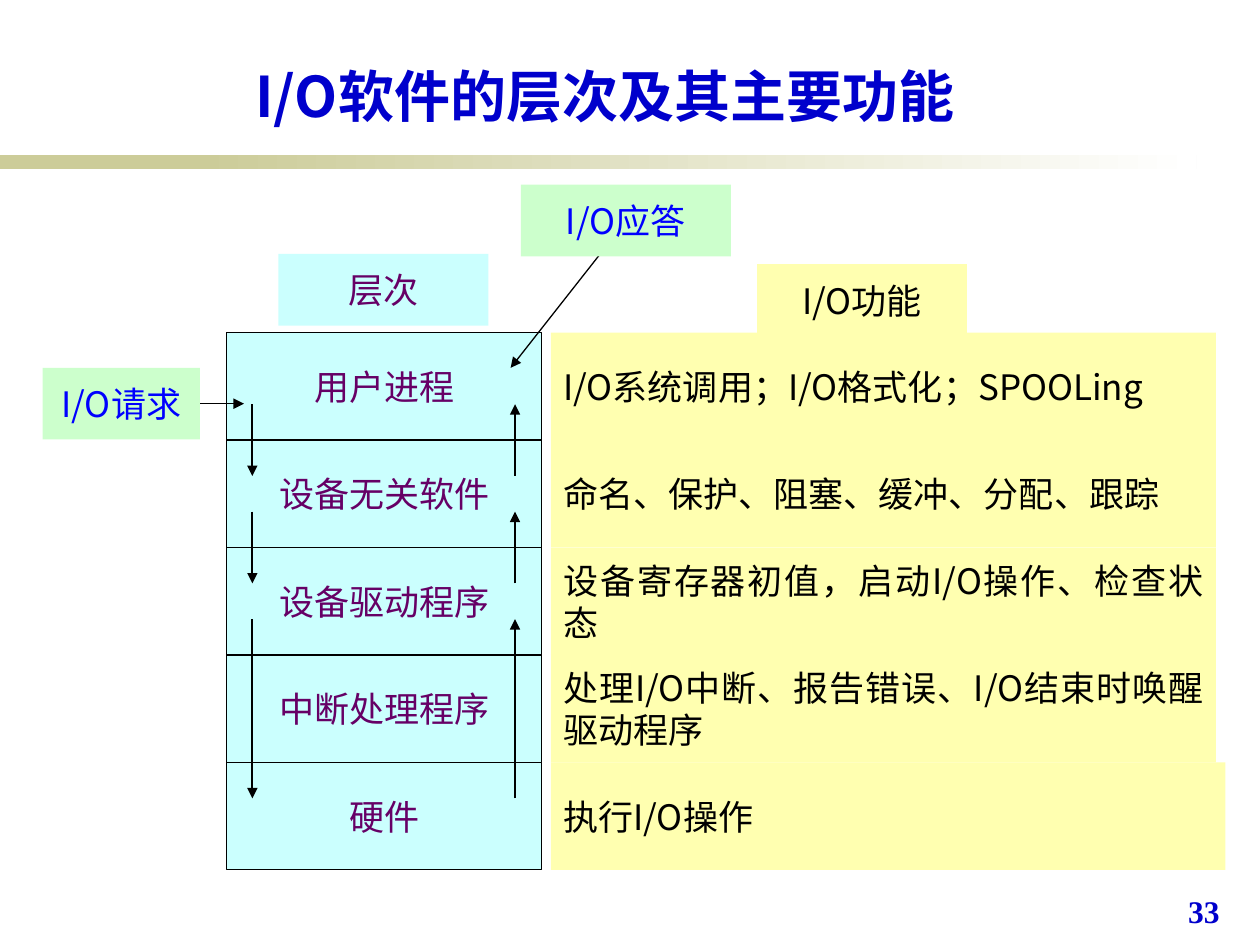
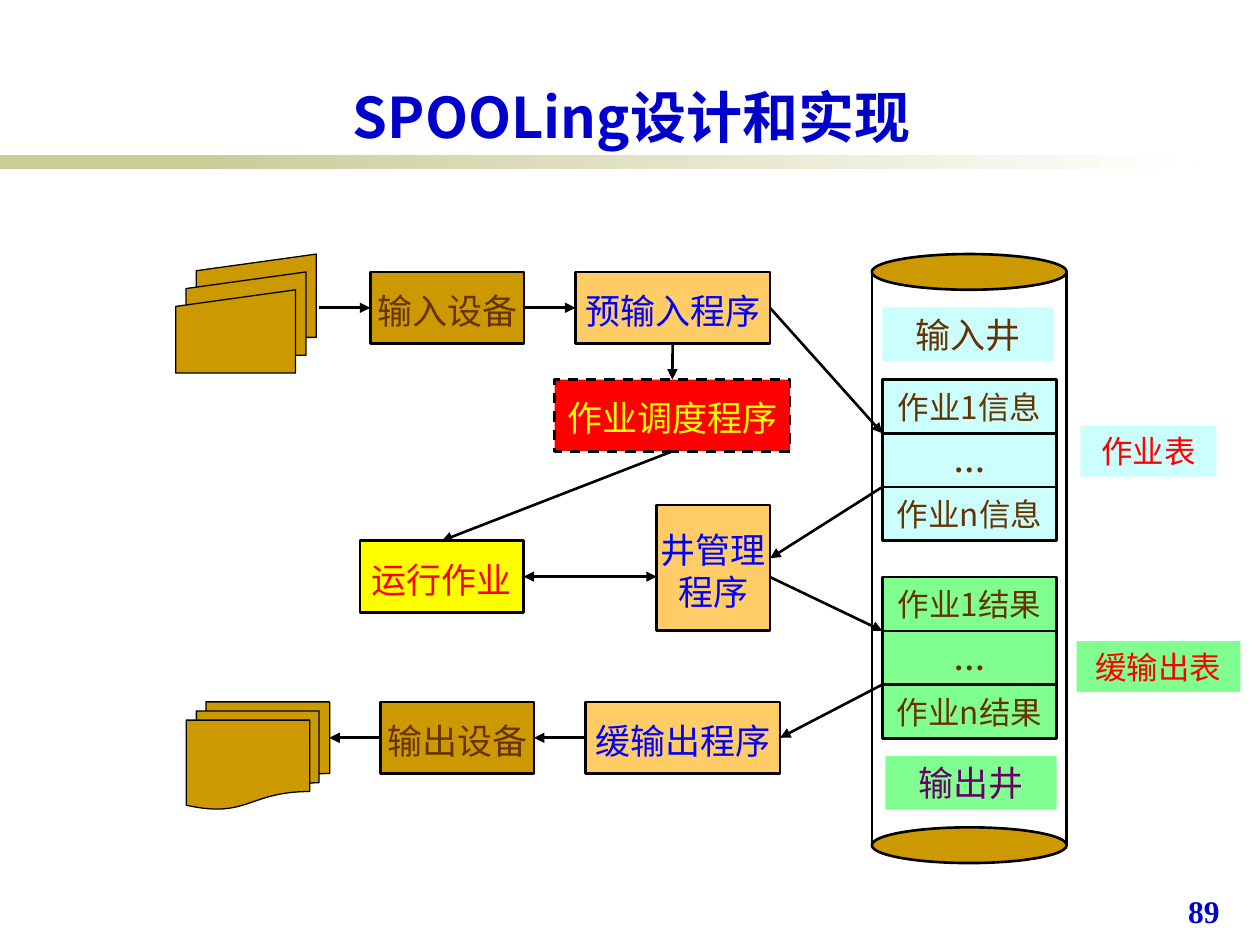
from lxml.etree import SubElement
from pptx import Presentation
from pptx.dml.color import RGBColor
from pptx.enum.dml import MSO_LINE
from pptx.enum.shapes import MSO_CONNECTOR, MSO_SHAPE
from pptx.enum.text import MSO_ANCHOR, MSO_AUTO_SIZE, PP_ALIGN
from pptx.oxml.ns import qn
from pptx.util import Pt

SANS, SERIF = "Noto Sans CJK JP", "Times New Roman"
BLACK, WHITE, RED, BLUE = "000000", "FFFFFF", "FF0000", "0000FF"
TITLE_BLUE, PURPLE, BROWN = "0000CC", "660066", "663300"
KHAKI, CYAN, CREAM, MINT = "CCCC99", "CBFFFE", "FFFFB0", "CCFFCC"
OCHRE, ORANGE, GREEN, YELLOW = "CC9900", "FFCC66", "80FF90", "FFFF00"
TOP, LEFT, BOTTOM, RIGHT = range(4)
FLUSH = (0, 0, 0, 0)
LOWERED = (0, 2.9, 0, 0)
PADDED = (7.2, 3.6, 7.2, 3.6)


def rgb(code):
    return RGBColor.from_string(code)


def write(box, text, color, size=20, font=SANS, bold=False,
          align=PP_ALIGN.CENTER, anchor=MSO_ANCHOR.MIDDLE, insets=FLUSH):
    frame = box.text_frame
    frame.text = text
    frame.word_wrap = True
    frame.auto_size = MSO_AUTO_SIZE.NONE
    frame.vertical_anchor = anchor
    (frame.margin_left, frame.margin_top,
     frame.margin_right, frame.margin_bottom) = map(Pt, insets)
    for para in frame.paragraphs:
        para.alignment = align
        for span in para.runs:
            span.font.name = font
            span.font.size = Pt(size)
            span.font.bold = bold
            span.font.color.rgb = rgb(color)
            properties = span.font._element
            SubElement(properties, qn("a:ea")).set("typeface", font)


def add_box(page, left, top, width, height, fill, line=0, kind=MSO_SHAPE.RECTANGLE):
    """Add a filled shape; a line width of 0 means no outline."""
    box = page.shapes.add_shape(kind, Pt(left), Pt(top), Pt(width), Pt(height))
    box.shadow.inherit = False
    box.fill.solid()
    box.fill.fore_color.rgb = rgb(fill)
    if line:
        box.line.color.rgb = rgb(BLACK)
        box.line.width = Pt(line)
    else:
        box.line.fill.background()
    return box


def add_label(page, area, text, fill, color, line=0, **style):
    box = add_box(page, *area, fill, line)
    write(box, text, color, **style)
    return box


def add_line(page, start, end, width=1.5, heads=("tailEnd",)):
    """Join two ends, each a point (x, y) or a pair (shape, side)."""
    connector = page.shapes.add_connector(MSO_CONNECTOR.STRAIGHT, 0, 0, 0, 0)
    if isinstance(start[0], (int, float)):
        connector.begin_x, connector.begin_y = map(Pt, start)
    else:
        connector.begin_connect(*start)
    if isinstance(end[0], (int, float)):
        connector.end_x, connector.end_y = map(Pt, end)
    else:
        connector.end_connect(*end)
    connector.line.color.rgb = rgb(BLACK)
    connector.line.width = Pt(width)
    outline = connector.line._get_or_add_ln()
    for head in heads:
        SubElement(outline, qn(f"a:{head}")).set("type", "triangle")
    SubElement(connector._element.spPr, qn("a:effectLst"))


def add_page(deck, title, number, title_left, title_top):
    """Add a slide with the shared bands, title and page number."""
    page = deck.slides.add_slide(deck.slide_layouts[5])
    add_box(page, 0, 88.6, 168, 7.9, KHAKI)
    fade = add_box(page, 113.8, 88.6, 570, 7.9, KHAKI)
    fade.fill.gradient()
    fade.fill.gradient_angle = 0
    for stop, position, color in zip(fade.fill.gradient_stops, (0, 1), (KHAKI, WHITE)):
        stop.position = position
        stop.color.rgb = rgb(color)

    heading = page.shapes.title
    heading.left, heading.top = Pt(title_left), Pt(title_top)
    heading.width, heading.height = Pt(579.6), Pt(45.4)
    write(heading, title, TITLE_BLUE, 32, bold=True,
          anchor=MSO_ANCHOR.BOTTOM, insets=PADDED)
    corner = page.shapes.add_textbox(Pt(671.8), Pt(506.2), Pt(46), Pt(36))
    write(corner, str(number), TITLE_BLUE, 18, SERIF, True,
          PP_ALIGN.LEFT, MSO_ANCHOR.TOP, PADDED)
    return page


def add_layers_page(deck):
    page = add_page(deck, "I/O软件的层次及其主要功能", 33, 56, 31.7)
    stack_top, row_height, reach = 190.1, 61.4, 20.5
    layers = [
        ("用户进程", "I/O系统调用；I/O格式化；SPOOLing", PP_ALIGN.LEFT, 380),
        ("设备无关软件", "命名、保护、阻塞、缓冲、分配、跟踪", PP_ALIGN.LEFT, 380),
        ("设备驱动程序", "设备寄存器初值，启动I/O操作、检查状态", PP_ALIGN.JUSTIFY, 380),
        ("中断处理程序", "处理I/O中断、报告错误、I/O结束时唤醒驱动程序", PP_ALIGN.JUSTIFY, 380),
        ("硬件", "执行I/O操作", PP_ALIGN.LEFT, 385.5),
    ]
    for row, (layer, task, align, width) in enumerate(layers):
        top = stack_top + row * row_height
        add_label(page, (129.6, top, 180, row_height), layer, CYAN, PURPLE, 0.75,
                  insets=PADDED)
        add_label(page, (314.8, top, width, row_height), task, CREAM, BLACK,
                  align=align, insets=PADDED)

    for first_edge, last_edge in ((1, 1), (2, 2), (3, 4)):
        upper = stack_top + first_edge * row_height - reach
        lower = stack_top + last_edge * row_height + reach
        add_line(page, (144.2, upper), (144.2, lower), 1)
        add_line(page, (294.3, lower), (294.3, upper), 0.75)

    add_line(page, (342.6, 145.6), (291.8, 210.2), 0.75)
    for area, text, fill, color in (
            ((159.1, 145.1, 120, 41), "层次", CYAN, PURPLE),
            ((297.6, 105.5, 120, 41), "I/O应答", MINT, BLUE),
            ((432.6, 151, 120, 41), "I/O功能", CREAM, BLACK)):
        add_label(page, area, text, fill, color)
    request = add_label(page, (24.3, 210.2, 90, 41), "I/O请求", MINT, BLUE)
    add_line(page, (request, RIGHT), (139.4, 230.7), 0.75)


def add_well_table(page, top, noun, fill):
    """Stack the three entries of a well from top downwards."""
    for row, text in enumerate((f"作业1{noun}", "…", f"作业n{noun}")):
        dots = text == "…"
        add_label(page, (504.2, top + row * 30.7, 99.6, 30.7), text, fill, BROWN, 1.5,
                  size=18, font=SERIF if dots else SANS, bold=dots)


def add_cylinder(page):
    left, width, upper, lower = 498.2, 111.4, 145.2, 472.8
    for top in (upper, lower):
        add_box(page, left, top, width, 20.4, OCHRE, 1.5, MSO_SHAPE.OVAL)
    for x in (left, left + width):
        add_line(page, (x, upper + 10.2), (x, lower + 10.2), heads=())


def add_spooling_page(deck):
    page = add_page(deck, "SPOOLing设计和实现", 89, 71.3, 43.9)
    add_cylinder(page)
    add_well_table(page, 216.9, "信息", CYAN)
    add_well_table(page, 329.8, "结果", GREEN)
    add_label(page, (504.2, 175.7, 97.9, 30.7), "输入井", CYAN, BROWN)
    add_label(page, (505.9, 432, 97.9, 30.7), "输出井", GREEN, PURPLE)
    add_label(page, (617.3, 243.4, 77.8, 29), "作业表", CYAN, RED,
              size=18, insets=PADDED)
    add_label(page, (615.2, 366.4, 93.6, 29), "缓输出表", GREEN, RED,
              size=18, insets=PADDED)

    for sheet in range(3):
        add_box(page, 112.2 - sheet * 5.9, 145.2 + sheet * 10.2, 68.5, 47.6,
                OCHRE, 0.75, MSO_SHAPE.FLOWCHART_MANUAL_INPUT)
    add_box(page, 106.4, 401.1, 82, 61.4, OCHRE, 0.75,
            MSO_SHAPE.FLOWCHART_MULTIDOCUMENT)

    def add_step(area, text, fill, color):
        return add_label(page, area, text, fill, color, 1.5, insets=LOWERED)

    input_device = add_step((211.6, 155.4, 87.8, 41), "输入设备", OCHRE, BROWN)
    pre_input = add_step((328.8, 155.4, 111.2, 41), "预输入程序", ORANGE, BLUE)
    scheduler = add_step((316.9, 216.9, 134.6, 41), "作业调度程序", RED, YELLOW)
    scheduler.line.dash_style = MSO_LINE.DASH
    running_job = add_step((205.7, 309, 93.6, 41), "运行作业", YELLOW, RED)
    add_step((375.3, 288.5, 64.8, 72), "井管理\n程序", ORANGE, BLUE)
    output_device = add_step((217.4, 401.1, 87.8, 41), "输出设备", OCHRE, BROWN)
    spool_output = add_step((334.6, 401.1, 111.2, 41), "缓输出程序", ORANGE, BLUE)

    for start, end in (
            ((182.2, 175.9), (input_device, LEFT)),
            ((input_device, RIGHT), (pre_input, LEFT)),
            ((pre_input, BOTTOM), (scheduler, TOP)),
            ((scheduler, BOTTOM), (running_job, TOP)),
            ((pre_input, RIGHT), (504.2, 247.6)),
            ((504.2, 278.3), (440.1, 319)),
            ((440.1, 329.8), (504.2, 360.5)),
            ((504.2, 391.2), (spool_output, RIGHT)),
            ((spool_output, LEFT), (output_device, RIGHT)),
            ((output_device, LEFT), (188.2, 421.6))):
        add_line(page, start, end)
    add_line(page, (375.3, 329.5), (running_job, RIGHT), heads=("headEnd", "tailEnd"))


def main():
    deck = Presentation()
    deck.slide_width, deck.slide_height = Pt(720), Pt(540)
    add_layers_page(deck)
    add_spooling_page(deck)
    deck.save("out.pptx")


if __name__ == "__main__":
    main()
